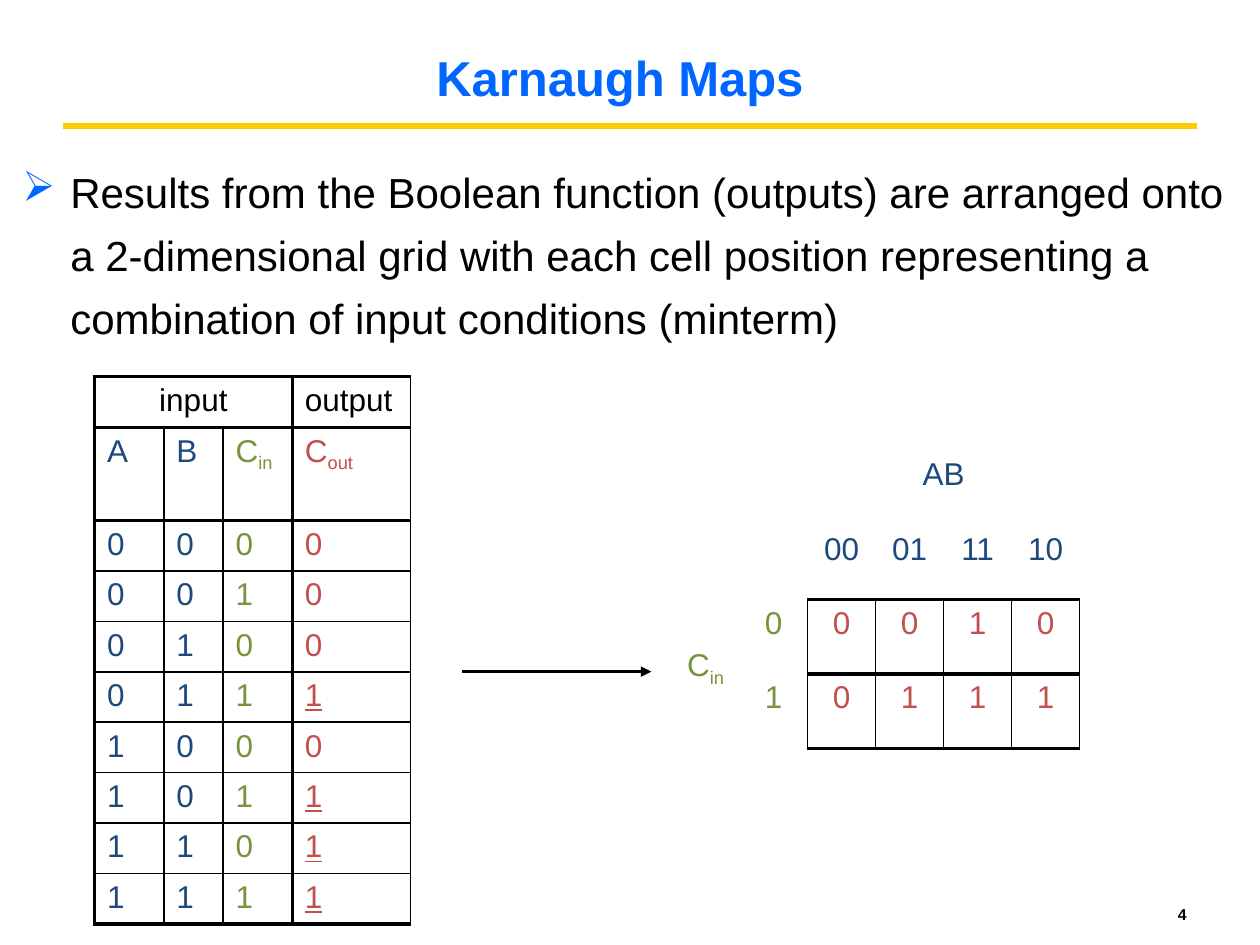
"""Build the Karnaugh Maps slide with a truth table and its two-row map."""
import dataclasses
import typing

import lxml.etree
import pptx
import pptx.dml.color
import pptx.enum.shapes
import pptx.enum.text
import pptx.oxml.ns
import pptx.util

Inches = pptx.util.Inches
Points = pptx.util.Pt
Color = pptx.dml.color.RGBColor
Alignment = pptx.enum.text.PP_ALIGN
Anchor = pptx.enum.text.MSO_ANCHOR
EdgeRule = typing.Callable[[int, int], float]

BLACK = Color(0x00, 0x00, 0x00)
TITLE_BLUE = Color(0x00, 0x66, 0xFF)
GOLD = Color(0xFF, 0xCC, 0x00)
INPUT_BLUE = Color(0x1F, 0x49, 0x7D)
CARRY_GREEN = Color(0x77, 0x93, 0x3C)
OUTPUT_RED = Color(0xC0, 0x50, 0x4D)
THICK, THIN, NONE = 2.25, 1, 0


@dataclasses.dataclass
class TextBlock:
    text: str
    box: tuple[float, float, float, float]
    size: float
    color: Color = BLACK
    bold: bool = False
    anchor: Anchor = Anchor.MIDDLE
    paragraph_format: dict = dataclasses.field(default_factory=dict)


@dataclasses.dataclass
class Grid:
    position: tuple[float, float]
    columns: list[float]
    rows: list[float]
    texts: list[list[str]]
    merges: list[tuple[int, int, int, int]]
    color: typing.Callable[[int, int], Color]
    alignment: typing.Callable[[int, int], Alignment]
    horizontal: EdgeRule
    vertical: EdgeRule
    underline: typing.Callable[[int, int], bool]


@dataclasses.dataclass
class Line:
    start: tuple[float, float]
    end: tuple[float, float]
    color: Color
    width: float
    arrow: bool = False


def add_xml(parent, tag: str, **attributes: str):
    return lxml.etree.SubElement(parent, pptx.oxml.ns.qn(tag), attributes)


def add_run(paragraph, text: str, size: float, color: Color, **values):
    run = paragraph.add_run()
    run.text = text
    run.font.color.rgb = color
    for name, value in {"name": "Arial", "size": Points(size), **values}.items():
        setattr(run.font, name, value)
    return run


def add_text(slide, block: TextBlock):
    shape = slide.shapes.add_textbox(*map(Inches, block.box))
    frame = shape.text_frame
    frame.word_wrap = True
    frame.vertical_anchor = block.anchor
    paragraph = frame.paragraphs[0]
    for name, value in block.paragraph_format.items():
        setattr(paragraph, name, value)
    add_run(paragraph, block.text, block.size, block.color, bold=block.bold)
    return paragraph


def add_bullet(paragraph, indent: float, character: str, color: Color) -> None:
    properties = paragraph._p.get_or_add_pPr()
    properties.set("marL", str(Inches(indent)))
    properties.set("indent", str(-Inches(indent)))
    add_xml(add_xml(properties, "a:buClr"), "a:srgbClr", val=str(color))
    add_xml(properties, "a:buChar", char=character)


def add_line(slide, line: Line) -> None:
    connector = slide.shapes.add_connector(
        pptx.enum.shapes.MSO_CONNECTOR.STRAIGHT,
        *map(Inches, line.start + line.end))
    connector.line.color.rgb = line.color
    connector.line.width = Points(line.width)
    if line.arrow:
        add_xml(connector.line._get_or_add_ln(), "a:tailEnd", type="triangle")
    add_xml(connector._element.spPr, "a:effectLst")


def set_border(cell, side: str, width: float) -> None:
    border = add_xml(cell._tc.get_or_add_tcPr(), f"a:ln{side}",
                     w=str(Points(width)))
    if width:
        add_xml(add_xml(border, "a:solidFill"), "a:srgbClr", val=str(BLACK))
    else:
        add_xml(border, "a:noFill")


def fill_cell(cell, grid: Grid, row: int, column: int) -> None:
    last_row, last_column = row + 1, column + 1
    if cell.is_merge_origin:
        last_row, last_column = row + cell.span_height, column + cell.span_width
    set_border(cell, "L", grid.vertical(row, column))
    set_border(cell, "R", grid.vertical(row, last_column))
    set_border(cell, "T", grid.horizontal(row, column))
    set_border(cell, "B", grid.horizontal(last_row, column))
    cell.fill.background()
    paragraph = cell.text_frame.paragraphs[0]
    paragraph.alignment = grid.alignment(row, column)
    for index, part in enumerate(grid.texts[row][column].split("_")):
        if part:
            run = add_run(paragraph, part, 18, grid.color(row, column),
                          underline=grid.underline(row, column))
            if index:
                run._r.get_or_add_rPr().set("baseline", "-25000")


def add_grid(slide, grid: Grid):
    table = slide.shapes.add_table(
        len(grid.rows), len(grid.columns), *map(Inches, grid.position),
        Inches(sum(grid.columns)), Inches(sum(grid.rows))).table
    table.first_row = table.horz_banding = False
    for column, width in zip(table.columns, grid.columns):
        column.width = Inches(width)
    for row, height in zip(table.rows, grid.rows):
        row.height = Inches(height)
    for top, left, bottom, right in grid.merges:
        table.cell(top, left).merge(table.cell(bottom, right))
    for row in range(len(grid.rows)):
        for column in range(len(grid.columns)):
            cell = table.cell(row, column)
            if not cell.is_spanned:
                fill_cell(cell, grid, row, column)
    return table


COLUMN_COLORS = [INPUT_BLUE, INPUT_BLUE, CARRY_GREEN, OUTPUT_RED]
TRUTH_ROWS = [[a, b, c, int(a + b + c >= 2)]
              for a in (0, 1) for b in (0, 1) for c in (0, 1)]
TRUTH_TABLE = Grid(
    (0.75, 2.99), [0.55, 0.47, 0.55, 0.94], [0.38, 0.74] + [0.38] * 8,
    [["input", "", "", "output"], ["A", "B", "C_in", "C_out"]]
    + [[str(value) for value in values] for values in TRUTH_ROWS],
    [(0, 0, 0, 2)],
    color=lambda row, column: COLUMN_COLORS[column] if row else BLACK,
    alignment=lambda row, column:
        Alignment.CENTER if (row, column) == (0, 0) else Alignment.LEFT,
    horizontal=lambda row, column: THICK if row in (0, 1, 2, 10) else THIN,
    vertical=lambda row, column: THICK if column in (0, 3) else THIN,
    underline=lambda row, column:
        row > 1 and column == 3 and TRUTH_ROWS[row - 2][3] == 1)
KARNAUGH_MAP = Grid(
    (5.33, 3.58), [0.54] * 6, [0.59] * 4,
    [["", "", "AB", "", "", ""], ["", "", "00", "01", "11", "10"],
     ["C_in", "0", "0", "0", "1", "0"], ["", "1", "0", "1", "1", "1"]],
    [(0, 2, 0, 5), (2, 0, 3, 0)],
    color=lambda row, column: INPUT_BLUE if row < 2
        else CARRY_GREEN if column < 2 else OUTPUT_RED,
    alignment=lambda row, column: Alignment.CENTER,
    horizontal=lambda row, column: THICK if row > 1 and column > 1 else NONE,
    vertical=lambda row, column: THIN if row > 1 and column > 1 else NONE,
    underline=lambda row, column: False)

presentation = pptx.Presentation()
presentation.slide_width, presentation.slide_height = Inches(10), Inches(7.5)
slide = presentation.slides.add_slide(presentation.slide_layouts[6])
add_line(slide, Line((0.5, 1), (9.5, 1), GOLD, 3))
add_text(slide, TextBlock("Karnaugh Maps", (0.17, 0.3, 9.5, 0.62), 28, TITLE_BLUE,
                          True, paragraph_format={"alignment": Alignment.CENTER}))
body = add_text(slide, TextBlock(
    "Results from the Boolean function (outputs) are arranged onto a 2-dimensional "
    "grid with each cell position representing a combination of input conditions "
    "(minterm)", (0.08, 1.17, 9.83, 5.83), 24, anchor=Anchor.TOP,
    paragraph_format={"line_spacing": 1.25, "space_before": Points(6)}))
add_bullet(body, 0.38, "\u27a2", TITLE_BLUE)
add_text(slide, TextBlock("4", (9.25, 7.08, 0.5, 0.36), 9, bold=True))
add_grid(slide, TRUTH_TABLE)
map_table = add_grid(slide, KARNAUGH_MAP)
map_table.cell(2, 0).margin_top = Inches(0.38)
add_line(slide, Line((3.67, 5.33), (5.17, 5.33), BLACK, 2, arrow=True))
presentation.save("out.pptx")
